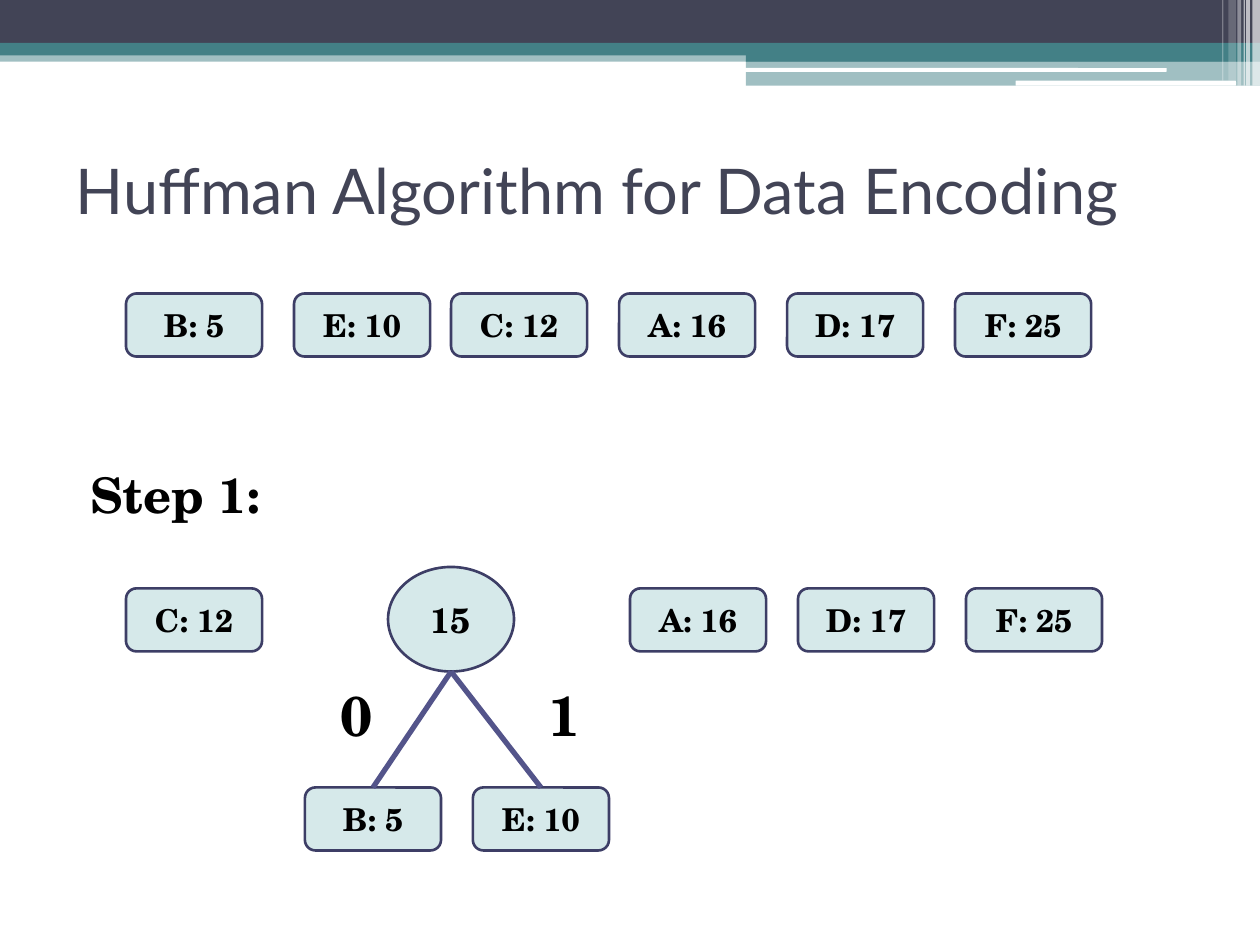
from lxml import etree
from pptx import Presentation
from pptx import util as u
from pptx.dml.color import RGBColor
from pptx.enum import shapes, text
from pptx.oxml import ns

WHITE = RGBColor(0xFF, 0xFF, 0xFF)
BLACK = RGBColor(0, 0, 0)
SLATE = RGBColor(0x42, 0x44, 0x56)
TEAL = RGBColor(0x43, 0x80, 0x86)
NODE_FILL = RGBColor(0xD6, 0xE9, 0xEA)
NODE_LINE = RGBColor(0x3D, 0x3E, 0x66)
BRANCH = RGBColor(0x53, 0x54, 0x8A)

TITLE_FONT = "Lato"
BODY_FONT = "TeX Gyre Schola"
KIND = shapes.MSO_SHAPE

COLUMN = 4 / 3
MARGIN = 1
NODE_W, NODE_H = 1.08, 0.5
QUEUE_TOP, STEP_TOP, LEAF_TOP = 2.33, 4.67, 6.25
ROOT_X, ROOT_BOTTOM = 3.58, 5.33

# left, top, width, height, colour, opacity in percent
BANDS = [
    (0, 0.4, 10, 0.09, TEAL, 50),
    (0, 0, 10, 0.34, SLATE, 100),
    (0, 0.34, 10, 0.1, TEAL, 100),
    (5.92, 0.39, 4.08, 0.1, TEAL, 100),
    (5.92, 0.48, 4.08, 0.2, TEAL, 50),
]
HIGHLIGHTS = [(5.91, 0.54, 3.35, 0.03), (8.06, 0.64, 1.75, 0.04)]
# left, width, height, opacity in percent
STRIPES = [
    (9.94, 0.06, 0.68, 65),
    (9.89, 0.03, 0.68, 65),
    (9.87, 0.01, 0.68, 60),
    (9.82, 0.03, 0.68, 40),
    (9.75, 0.06, 0.64, 20),
    (9.7, 0.01, 0.64, 30),
]


def inches(*lengths):
    return [u.Inches(length) for length in lengths]


def write(shape, words, size, font=BODY_FONT, color=BLACK, bold=True,
          align=text.PP_ALIGN.CENTER, wrap=True):
    frame = shape.text_frame
    frame.word_wrap = wrap
    frame.auto_size = text.MSO_AUTO_SIZE.NONE
    frame.vertical_anchor = text.MSO_ANCHOR.MIDDLE
    frame.text = words
    paragraph = frame.paragraphs[0]
    paragraph.alignment = align
    paragraph.font.name = font
    paragraph.font.size = u.Pt(size)
    paragraph.font.bold = bold
    paragraph.font.color.rgb = color


def add_block(slide, kind, box, fill, opacity=100, outline=None):
    block = slide.shapes.add_shape(kind, *inches(*box))
    block.shadow.inherit = False
    block.fill.solid()
    block.fill.fore_color.rgb = fill
    if opacity < 100:
        color = block.fill._xPr.find(".//" + ns.qn("a:srgbClr"))
        etree.SubElement(color, ns.qn("a:alpha"), val=str(opacity * 1000))
    if outline is None:
        block.line.fill.background()
    else:
        block.line.color.rgb = outline
        block.line.width = u.Pt(1.5)
    return block


def add_header(slide):
    for *box, color, opacity in BANDS:
        add_block(slide, KIND.RECTANGLE, box, color, opacity)
    for box in HIGHLIGHTS:
        add_block(slide, KIND.ROUNDED_RECTANGLE, box, WHITE)
    for left, width, height, opacity in STRIPES:
        add_block(slide, KIND.RECTANGLE, (left, 0, width, height), WHITE, opacity)


def add_title(slide, words):
    title = slide.shapes.title
    title.left, title.top, title.width, title.height = inches(0.5, 0.92, 9, 1.17)
    write(title, words, 36, font=TITLE_FONT, color=SLATE, bold=False,
          align=text.PP_ALIGN.LEFT)


def add_heading(slide, words):
    heading = slide.shapes.add_textbox(*inches(0.62, 3.62, 3, 0.6))
    write(heading, words, 28, align=text.PP_ALIGN.LEFT)


def add_nodes(slide, labels, left, top):
    """Place symbol nodes one column apart and return them."""
    nodes = []
    for column, label in enumerate(labels):
        box = (left + column * COLUMN, top, NODE_W, NODE_H)
        node = add_block(slide, KIND.ROUNDED_RECTANGLE, box, NODE_FILL,
                         outline=NODE_LINE)
        write(node, label, 18)
        nodes.append(node)
    return nodes


def add_root(slide, label):
    width, height = 1, 0.83
    box = (ROOT_X - width / 2, ROOT_BOTTOM - height, width, height)
    root = add_block(slide, KIND.OVAL, box, NODE_FILL, outline=NODE_LINE)
    write(root, label, 20, wrap=False)


def add_branch(slide, leaf):
    start = inches(ROOT_X, ROOT_BOTTOM)
    branch = slide.shapes.add_connector(shapes.MSO_CONNECTOR.STRAIGHT, *start, *start)
    branch.end_connect(leaf, 0)
    branch.line.color.rgb = BRANCH
    branch.line.width = u.Pt(3)
    etree.SubElement(branch._element.spPr, ns.qn("a:effectLst"))


def add_bit(slide, digit, left):
    bit = add_block(slide, KIND.RECTANGLE, (left, ROOT_BOTTOM, 0.5, 0.67), WHITE)
    write(bit, digit, 32, wrap=False)


def main():
    deck = Presentation()
    deck.slide_width, deck.slide_height = inches(10, 7.5)
    slide = deck.slides.add_slide(deck.slide_layouts[5])

    add_header(slide)
    add_title(slide, "Huffman Algorithm for Data Encoding")
    add_nodes(slide, ["B: 5", "E: 10"], MARGIN, QUEUE_TOP)
    add_nodes(slide, ["C: 12", "A: 16", "D: 17", "F: 25"], 3.58, QUEUE_TOP)

    add_heading(slide, "Step 1:")
    add_nodes(slide, ["C: 12"], MARGIN, STEP_TOP)
    add_nodes(slide, ["A: 16", "D: 17", "F: 25"], MARGIN + 3 * COLUMN, STEP_TOP)
    leaves = add_nodes(slide, ["B: 5", "E: 10"], 2.42, LEAF_TOP)
    add_root(slide, "15")
    for leaf in leaves:
        add_branch(slide, leaf)
    add_bit(slide, "0", 2.58)
    add_bit(slide, "1", 4.23)

    deck.save("out.pptx")


if __name__ == "__main__":
    main()
